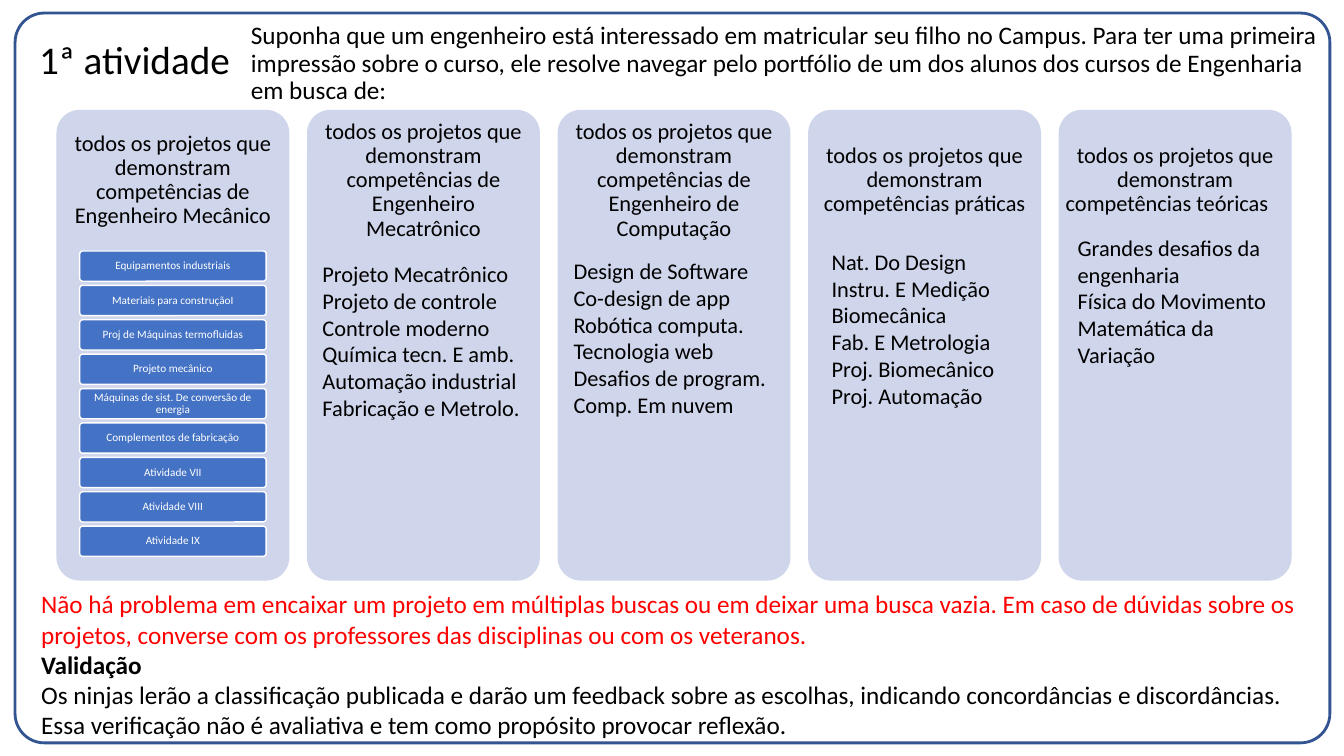
from pptx import Presentation
from pptx.dml.color import RGBColor
from pptx.enum.shapes import MSO_SHAPE as Shape
from pptx.enum.text import MSO_ANCHOR as Anchor, PP_ALIGN as Align
from pptx.util import Inches, Pt

TITLE = "1ª atividade"
INTRO = (
    "Suponha que um engenheiro está interessado em matricular seu filho no Campus. "
    "Para ter uma primeira impressão sobre o curso, ele resolve navegar pelo portfólio "
    "de um dos alunos dos cursos de Engenharia em busca de:"
)
CARD_PREFIX = "todos os projetos que demonstram competências "
CARDS = ["de Engenheiro Mecânico", "de Engenheiro Mecatrônico",
         "de Engenheiro de Computação", "práticas", "teóricas\t"]
TAGS = [
    "Equipamentos industriais", "Materiais para construçãoI",
    "Proj de Máquinas termofluidas", "Projeto mecânico",
    "Máquinas de sist. De conversão de energia", "Complementos de fabricação",
    "Atividade VII", "Atividade VIII", "Atividade IX",
]
PROJECT_LISTS = [
    ((3.1, 2.53, 2.22, 1.72),
     ["Projeto Mecatrônico", "Projeto de controle", "Controle moderno",
      "Química tecn. E amb.", "Automação industrial", "Fabricação e Metrolo."]),
    ((5.59, 2.5, 2.15, 2.05),
     ["Design de Software", "Co-design de app", "Robótica computa.",
      "Tecnologia web", "Desafios de program.", "Comp. Em nuvem"]),
    ((8.15, 2.41, 2.1, 1.75),
     ["Nat. Do Design", "Instru. E Medição", "Biomecânica",
      "Fab. E Metrologia", "Proj. Biomecânico", "Proj. Automação"]),
    ((10.59, 2.27, 2.13, 1.45),
     ["Grandes desafios da engenharia", "Física do Movimento", "Matemática da Variação"]),
]
NOTES = [
    ("Não há problema em encaixar um projeto em múltiplas buscas ou em deixar uma busca "
     "vazia. Em caso de dúvidas sobre os projetos, converse com os professores das "
     "disciplinas ou com os veteranos.", "FF0000", False),
    ("Validação", "000000", True),
    ("Os ninjas lerão a classificação publicada e darão um feedback sobre as escolhas, "
     "indicando concordâncias e discordâncias. Essa verificação não é avaliativa e tem "
     "como propósito provocar reflexão.", "000000", False),
]

CARD_LEFT, CARD_RIGHT, CARD_TOP, CARD_WIDTH, CARD_HEIGHT = 0.56, 10.5, 1.09, 2.31, 4.67
CARD_STEP = (CARD_RIGHT - CARD_LEFT) / (len(CARDS) - 1)
HEADING_HEIGHT = 1.4
TAG_LEFT, TAG_TOP, TAG_LAST, TAG_WIDTH, TAG_HEIGHT = 0.79, 2.49, 5.22, 1.85, 0.3
TAG_STEP = (TAG_LAST - TAG_TOP) / (len(TAGS) - 1)


def colour(value):
    return RGBColor.from_string(value)


def write(shape, lines, size, anchor=Anchor.TOP, inset=None, **layout):
    frame = shape.text_frame
    frame.word_wrap = True
    frame.vertical_anchor = anchor
    if inset is not None:
        for side in ("left", "top", "right", "bottom"):
            setattr(frame, f"margin_{side}", Inches(inset))
    for index, (text, tint, bold) in enumerate(lines):
        para = frame.add_paragraph() if index else frame.paragraphs[0]
        for name, value in layout.items():
            setattr(para, name, value)
        span = para.add_run()
        span.text = text
        span.font.color.rgb = colour(tint)
        for name, value in {"name": "Calibri", "size": Pt(size), "bold": bold}.items():
            setattr(span.font, name, value)


def add_text(page, bounds, lines, size, **options):
    box = page.shapes.add_textbox(*map(Inches, bounds))
    write(box, lines, size, **options)


def add_panel(page, bounds, rounding, fill=None, line=None, width=1):
    panel = page.shapes.add_shape(Shape.ROUNDED_RECTANGLE, *map(Inches, bounds))
    panel.shadow.inherit = False
    panel.adjustments[0] = rounding
    if fill:
        panel.fill.solid()
        panel.fill.fore_color.rgb = colour(fill)
    else:
        panel.fill.background()
    if line:
        panel.line.color.rgb = colour(line)
        panel.line.width = Pt(width)
    else:
        panel.line.fill.background()
    return panel


def plain(*texts, tint="000000"):
    return [(text, tint, False) for text in texts]


def main():
    deck = Presentation()
    deck.slide_width, deck.slide_height = Inches(13.33), Inches(7.5)
    page = deck.slides.add_slide(deck.slide_layouts[6])

    add_panel(page, (0.15, 0.13, 13.04, 7.24), 0.04, line="325491", width=2)
    add_text(page, (0.29, -0.11, 2.1, 1.45), plain(TITLE), 28,
             anchor=Anchor.MIDDLE, line_spacing=0.9)
    add_text(page, (2.39, 0.18, 10.78, 0.9), plain(INTRO), 18, line_spacing=0.9)

    centred = {"anchor": Anchor.MIDDLE, "alignment": Align.CENTER, "line_spacing": 0.9}
    for index, ending in enumerate(CARDS):
        left = CARD_LEFT + index * CARD_STEP
        add_panel(page, (left, CARD_TOP, CARD_WIDTH, CARD_HEIGHT), 0.1, fill="CFD5EA")
        add_text(page, (left, CARD_TOP, CARD_WIDTH, HEADING_HEIGHT),
                 plain(CARD_PREFIX + ending), 16, inset=0.07, **centred)

    for index, label in enumerate(TAGS):
        top = TAG_TOP + index * TAG_STEP
        tag = add_panel(page, (TAG_LEFT, top, TAG_WIDTH, TAG_HEIGHT), 0.1,
                        fill="4472C4", line="FFFFFF")
        write(tag, plain(label, tint="FFFFFF"), 8, inset=0.03, **centred)

    add_text(page, (0.31, 5.79, 12.86, 1.62), NOTES, 18)
    for bounds, projects in PROJECT_LISTS:
        add_text(page, bounds, plain(*projects), 16)

    deck.save("out.pptx")


if __name__ == "__main__":
    main()
